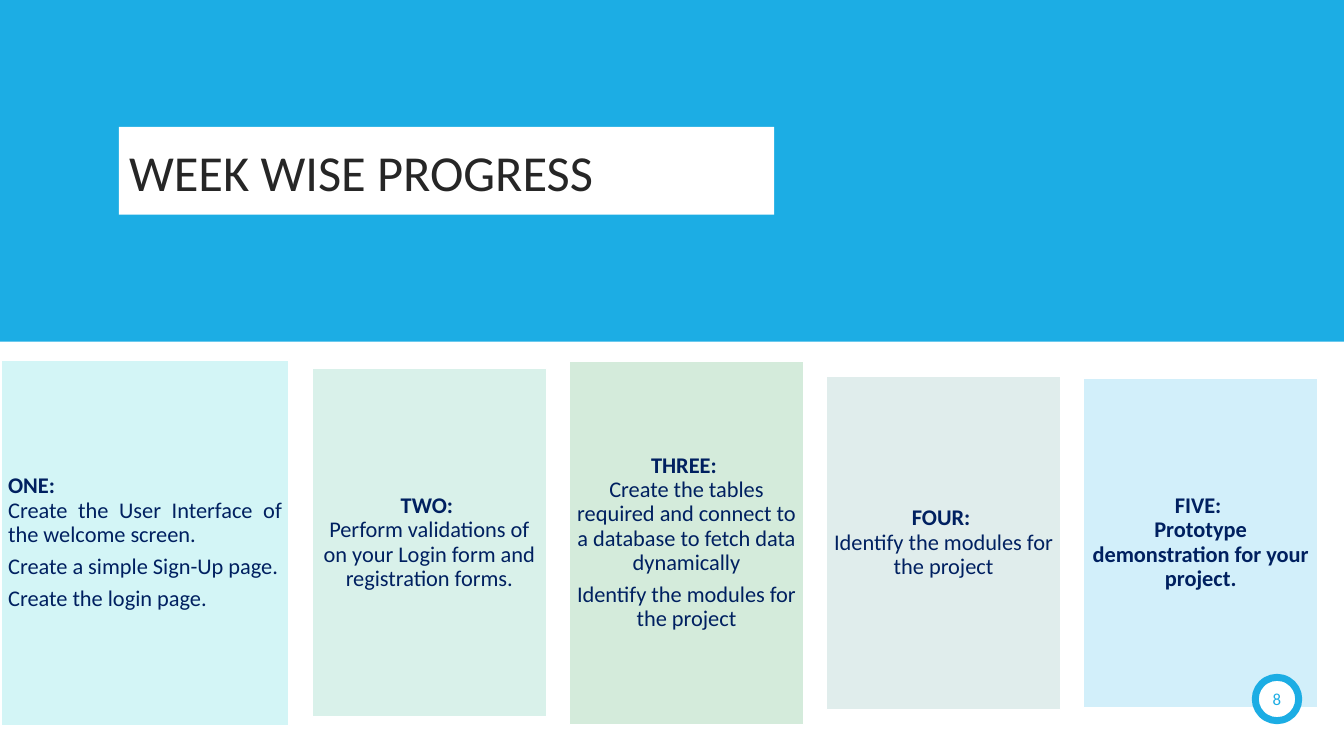
from dataclasses import dataclass

from pptx import Presentation
from pptx.dml.color import RGBColor
from pptx.enum.shapes import MSO_SHAPE
from pptx.enum.text import MSO_ANCHOR, MSO_AUTO_SIZE, PP_ALIGN
from pptx.shapes.autoshape import Shape
from pptx.slide import Slide
from pptx.util import Inches, Pt

RECTANGLE, OVAL = MSO_SHAPE.RECTANGLE, MSO_SHAPE.OVAL
MIDDLE, NO_FIT = MSO_ANCHOR.MIDDLE, MSO_AUTO_SIZE.NONE
LEFT, CENTER, JUSTIFY = PP_ALIGN.LEFT, PP_ALIGN.CENTER, PP_ALIGN.JUSTIFY

SLIDE_WIDTH, SLIDE_HEIGHT = Inches(13.33), Inches(7.5)
COLUMN, ROW = SLIDE_WIDTH / 100, SLIDE_HEIGHT / 100
FIRST_WEEK_RIGHT, WEEK_STEP, WEEK_MIDDLE = 21.52, 19.13, 71.8
FONT = "Calibri"
BLUE, NAVY, CHARCOAL, WHITE = "1CADE4", "002060", "262626", "FFFFFF"


@dataclass(frozen=True)
class Area:
    left: float
    top: float
    width: float
    height: float

    def emu(self) -> tuple[int, int, int, int]:
        return (round(self.left * COLUMN), round(self.top * ROW),
                round(self.width * COLUMN), round(self.height * ROW))


@dataclass(frozen=True)
class Week:
    heading: str
    tasks: tuple[str, ...]
    fill: str
    height: float
    width: float = 17.4
    align: PP_ALIGN = CENTER
    bold_tasks: bool = False


WEEKS = (
    Week("ONE: ", ("Create the User Interface of the welcome screen.",
                   "Create a simple Sign-Up page.", "Create the login page."),
         "D3F5F6", 48.4, width=21.44, align=JUSTIFY),
    Week("TWO: ", ("Perform validations of on your Login form and registration forms.",),
         "D9F1EA", 46.13),
    Week("THREE: ", ("Create the tables required and connect to a database to fetch data dynamically",
                     "Identify the modules for the project"),
         "D4EBDB", 48.13),
    Week("FOUR: ", ("Identify the modules for the project",), "E0EDEC", 44.13),
    Week("FIVE: ", ("Prototype demonstration for your project.",),
         "D2EFFA", 43.6, bold_tasks=True),
)


def rgb(value: str) -> RGBColor:
    return RGBColor.from_string(value)


def add_run(paragraph, text: str, size: float, color: str, bold: bool = False) -> None:
    run = paragraph.add_run()
    run.text = text
    run.font.name = FONT
    run.font.size = Pt(size)
    run.font.bold = bold
    run.font.color.rgb = rgb(color)


def add_panel(slide: Slide, kind: MSO_SHAPE, area: Area, fill: str,
              line: str | None = None, line_width: float = 1, inset: float = 0) -> Shape:
    panel = slide.shapes.add_shape(kind, *area.emu())
    panel.shadow.inherit = False
    panel.fill.solid()
    panel.fill.fore_color.rgb = rgb(fill)
    if line:
        panel.line.color.rgb = rgb(line)
        panel.line.width = Pt(line_width)
    else:
        panel.line.fill.background()
    frame = panel.text_frame
    frame.word_wrap = True
    frame.vertical_anchor = MIDDLE
    frame.margin_left = frame.margin_right = Inches(inset)
    frame.margin_top = frame.margin_bottom = Inches(inset)
    return panel


def add_week(slide: Slide, index: int, week: Week) -> None:
    right = FIRST_WEEK_RIGHT + index * WEEK_STEP
    area = Area(right - week.width, WEEK_MIDDLE - week.height / 2, week.width, week.height)
    frame = add_panel(slide, RECTANGLE, area, week.fill, line=WHITE, inset=0.07).text_frame
    for position, task in enumerate(week.tasks):
        paragraph = frame.add_paragraph() if position else frame.paragraphs[0]
        paragraph.alignment = week.align
        paragraph.line_spacing = 0.9
        paragraph.space_after = Pt(5.6)
        if position == 0:
            add_run(paragraph, week.heading, 16, NAVY, bold=True)
            paragraph.add_line_break()
        add_run(paragraph, task, 16, NAVY, bold=week.bold_tasks)


def add_page_number(slide: Slide, number: str) -> None:
    badge = add_panel(slide, OVAL, Area(93.4, 89.6, 3.23, 5.73), WHITE, line=BLUE, line_width=5)
    paragraph = badge.text_frame.paragraphs[0]
    paragraph.alignment = CENTER
    add_run(paragraph, number, 12, BLUE)


def place_title(slide: Slide, text: str) -> None:
    title = slide.shapes.title
    title.left, title.top, title.width, title.height = Area(8.85, 16.8, 48.76, 11.6).emu()
    title.fill.solid()
    title.fill.fore_color.rgb = rgb(WHITE)
    frame = title.text_frame
    frame.auto_size = NO_FIT
    frame.word_wrap = True
    frame.vertical_anchor = MIDDLE
    frame.paragraphs[0].alignment = LEFT
    add_run(frame.paragraphs[0], text, 36, CHARCOAL)
    title.element.getparent().append(title.element)


def main() -> None:
    presentation = Presentation()
    presentation.slide_width, presentation.slide_height = SLIDE_WIDTH, SLIDE_HEIGHT
    slide = presentation.slides.add_slide(presentation.slide_layouts[5])
    add_panel(slide, RECTANGLE, Area(0, 0, 100, 45.2), BLUE)
    for index, week in enumerate(WEEKS):
        add_week(slide, index, week)
    add_page_number(slide, "8")
    place_title(slide, "WEEK WISE PROGRESS")
    presentation.save("out.pptx")


if __name__ == "__main__":
    main()
